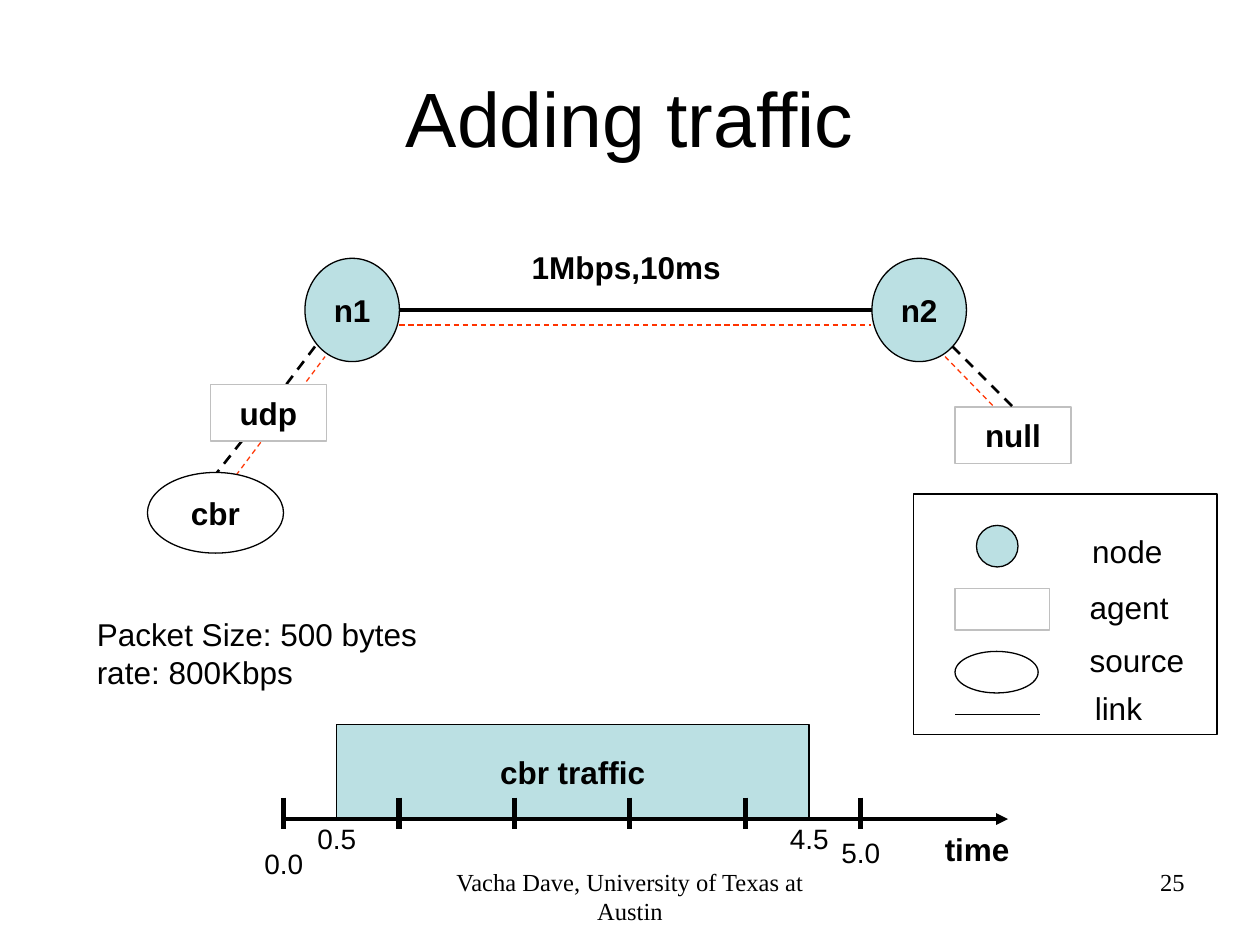
from lxml import etree
from pptx import Presentation
from pptx.dml.color import RGBColor
from pptx.enum.dml import MSO_LINE
from pptx.enum.shapes import MSO_CONNECTOR, MSO_SHAPE
from pptx.enum.text import MSO_ANCHOR, PP_ALIGN
from pptx.oxml.ns import qn
from pptx.util import Inches, Pt

OVAL, RECT = MSO_SHAPE.OVAL, MSO_SHAPE.RECTANGLE
STRAIGHT = MSO_CONNECTOR.STRAIGHT
DASH = MSO_LINE.DASH
MIDDLE, TOP = MSO_ANCHOR.MIDDLE, MSO_ANCHOR.TOP
LEFT, CENTER, RIGHT = PP_ALIGN.LEFT, PP_ALIGN.CENTER, PP_ALIGN.RIGHT

COLORS = {
    "ink": "000000",
    "paper": "FFFFFF",
    "node": "BBE0E3",
    "agent": "C0C0C0",
    "flow": "FF3300",
}
SANS, SERIF = "Arial", "Times New Roman"


class Diagram:
    def __init__(self, slide):
        self.slide = slide

    def color(self, name):
        return RGBColor.from_string(COLORS[name])

    def fill_frame(self, frame, words, size=18, bold=False, align=LEFT, font=SANS,
                   anchor=TOP, wrap=True):
        frame.word_wrap = wrap
        frame.vertical_anchor = anchor
        frame.text = words
        for paragraph in frame.paragraphs:
            paragraph.alignment = align
            paragraph.font.name = font
            paragraph.font.size = Pt(size)
            paragraph.font.bold = bold
            paragraph.font.color.rgb = self.color("ink")

    def title(self, words, left, top, width, height):
        title = self.slide.shapes.title
        title.left, title.top = Inches(left), Inches(top)
        title.width, title.height = Inches(width), Inches(height)
        self.fill_frame(title.text_frame, words, 44, align=CENTER, anchor=MIDDLE)

    def text(self, words, left, top, width, height=0.4, **style):
        box = self.slide.shapes.add_textbox(
            Inches(left), Inches(top), Inches(width), Inches(height))
        self.fill_frame(box.text_frame, words, **style)

    def shape(self, kind, left, top, width, height, fill="paper", line="ink", words=""):
        shape = self.slide.shapes.add_shape(
            kind, Inches(left), Inches(top), Inches(width), Inches(height))
        shape.shadow.inherit = False
        shape.fill.solid()
        shape.fill.fore_color.rgb = self.color(fill)
        shape.line.color.rgb = self.color(line)
        shape.line.width = Pt(0.75)
        if words:
            self.fill_frame(shape.text_frame, words, bold=True, align=CENTER,
                            anchor=MIDDLE, wrap=False)
        return shape

    def line(self, x1, y1, x2, y2, width=0.75, color="ink", dash=None, arrow=False):
        line = self.slide.shapes.add_connector(
            STRAIGHT, Inches(x1), Inches(y1), Inches(x2), Inches(y2))
        line.line.color.rgb = self.color(color)
        line.line.width = Pt(width)
        if dash:
            line.line.dash_style = dash
        properties = line._element.spPr
        if arrow:
            etree.SubElement(properties.find(qn("a:ln")), qn("a:tailEnd"), type="triangle")
        etree.SubElement(properties, qn("a:effectLst"))
        return line


def draw_network(diagram):
    for flow in [(1.83, 3.83, 2.58, 2.83), (3.17, 2.58, 6.91, 2.58), (7.5, 2.83, 7.91, 3.25)]:
        diagram.line(*flow, color="flow", dash=DASH)
    for attachment in [(2.5, 2.75, 2.25, 3.08), (1.92, 3.5, 1.66, 3.83)]:
        diagram.line(*attachment, width=1.5, dash=DASH)
    for name, left in [("n1", 2.42), ("n2", 6.92)]:
        diagram.shape(OVAL, left, 2.05, 0.75, 0.82, "node", words=name)
    diagram.line(3.17, 2.46, 6.92, 2.46, width=2.25)
    diagram.text("1Mbps,10ms", 3.17, 1.92, 3.6, bold=True, align=CENTER)
    diagram.shape(RECT, 1.67, 3.05, 0.92, 0.45, line="agent", words="udp")
    null_agent = diagram.shape(RECT, 7.58, 3.23, 0.92, 0.45, line="agent", words="null")
    null_attachment = diagram.line(7.56, 2.75, 8.04, 3.23, width=1.5, dash=DASH)
    null_attachment.end_connect(null_agent, 0)
    diagram.shape(OVAL, 1.17, 3.75, 1.08, 0.64, words="cbr")
    diagram.text("Packet Size: 500 bytes\nrate: 800Kbps", 0.67, 4.83, 3, 0.7)


def draw_timeline(diagram):
    start, end, seconds = 2.25, 6.83, 5
    diagram.shape(RECT, 2.67, 5.75, 3.75, 0.75, "node", words="cbr traffic")
    diagram.line(start, 6.5, 8, 6.5, width=2.25, arrow=True)
    for second in range(seconds + 1):
        tick = start + second * (end - start) / seconds
        diagram.line(tick, 6.33, tick, 6.58, width=3)
    for moment, left, top in [("0.0", 2, 6.67), ("0.5", 2.42, 6.47),
                              ("5.0", 6.58, 6.58), ("4.5", 6.17, 6.47)]:
        diagram.text(moment, left, top, 0.58, 0.37, size=16)
    diagram.text("time", 7.4, 6.54, 0.8, bold=True)


def draw_legend(diagram):
    diagram.shape(RECT, 7.25, 3.92, 2.41, 1.91)
    diagram.shape(OVAL, 7.75, 4.17, 0.33, 0.33, "node")
    diagram.shape(RECT, 7.58, 4.67, 0.75, 0.33, line="agent")
    diagram.shape(OVAL, 7.58, 5.17, 0.66, 0.33)
    diagram.line(7.58, 5.67, 8.25, 5.67)
    for meaning, left, top in [("node", 8.57, 4.17), ("agent", 8.55, 4.62),
                               ("source", 8.55, 5.04), ("link", 8.59, 5.42)]:
        diagram.text(meaning, left, top, 1.05)


def main():
    deck = Presentation()
    deck.slide_width, deck.slide_height = Inches(10), Inches(7.5)
    diagram = Diagram(deck.slides.add_slide(deck.slide_layouts[5]))
    diagram.title("Adding traffic", 0.56, 0.36, 8.88, 1.13)
    draw_network(diagram)
    draw_timeline(diagram)
    draw_legend(diagram)
    diagram.text("Vacha Dave, University of Texas at Austin", 3.42, 6.83, 3.16, 0.52,
                 size=14, font=SERIF, align=CENTER)
    diagram.text("25", 7.17, 6.83, 2.33, 0.52, size=14, font=SERIF, align=RIGHT)
    deck.save("out.pptx")


if __name__ == "__main__":
    main()
